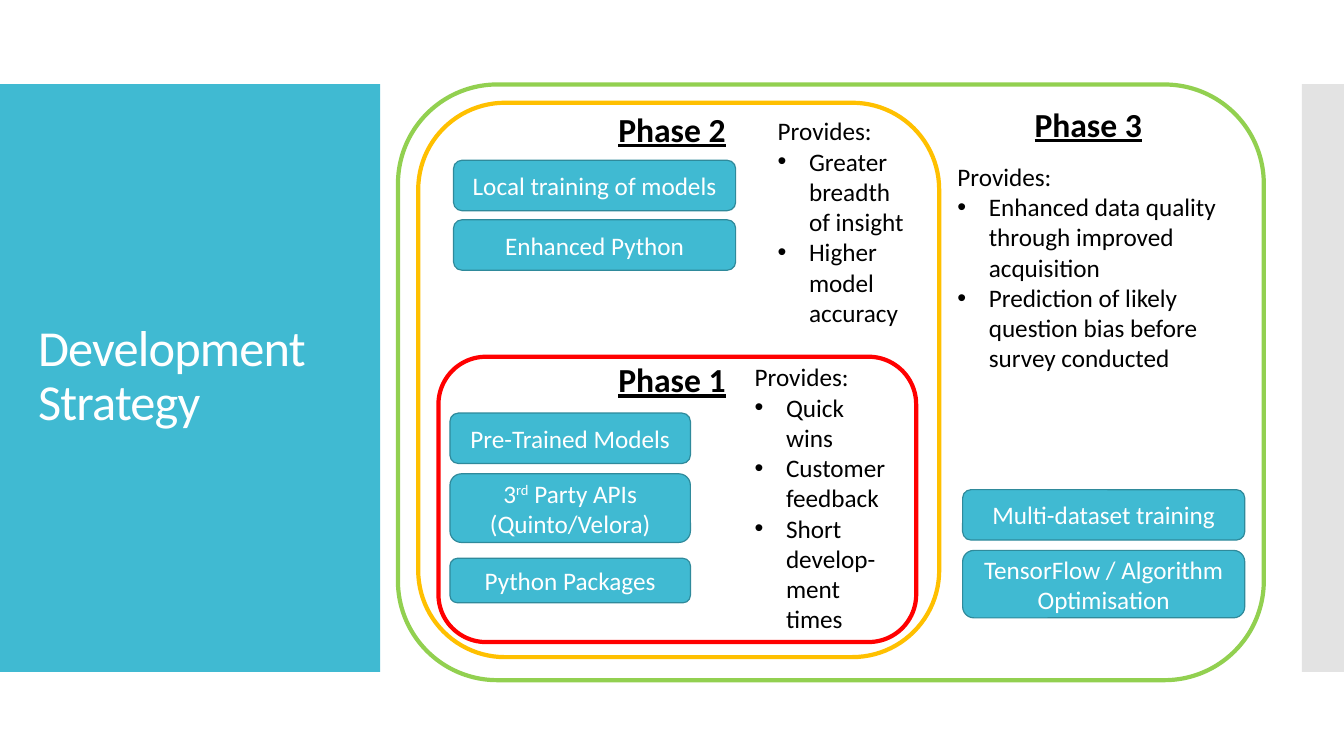
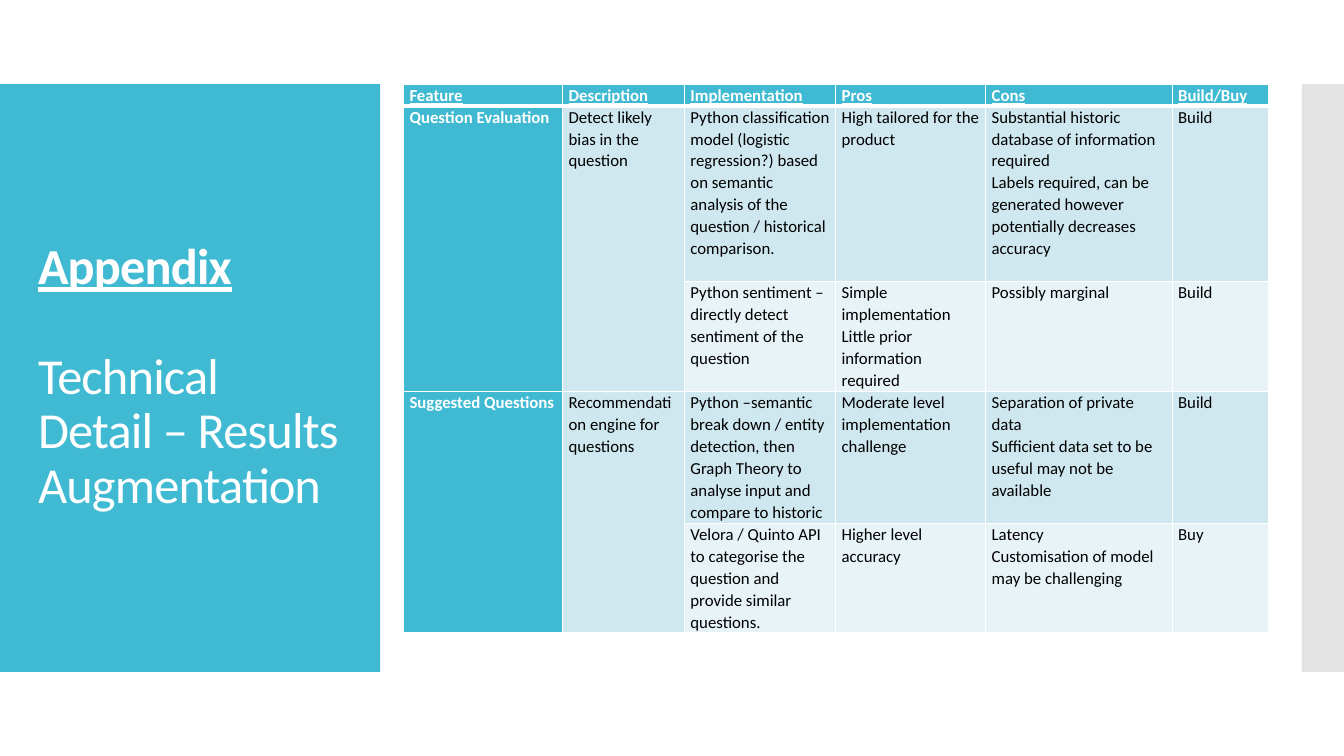
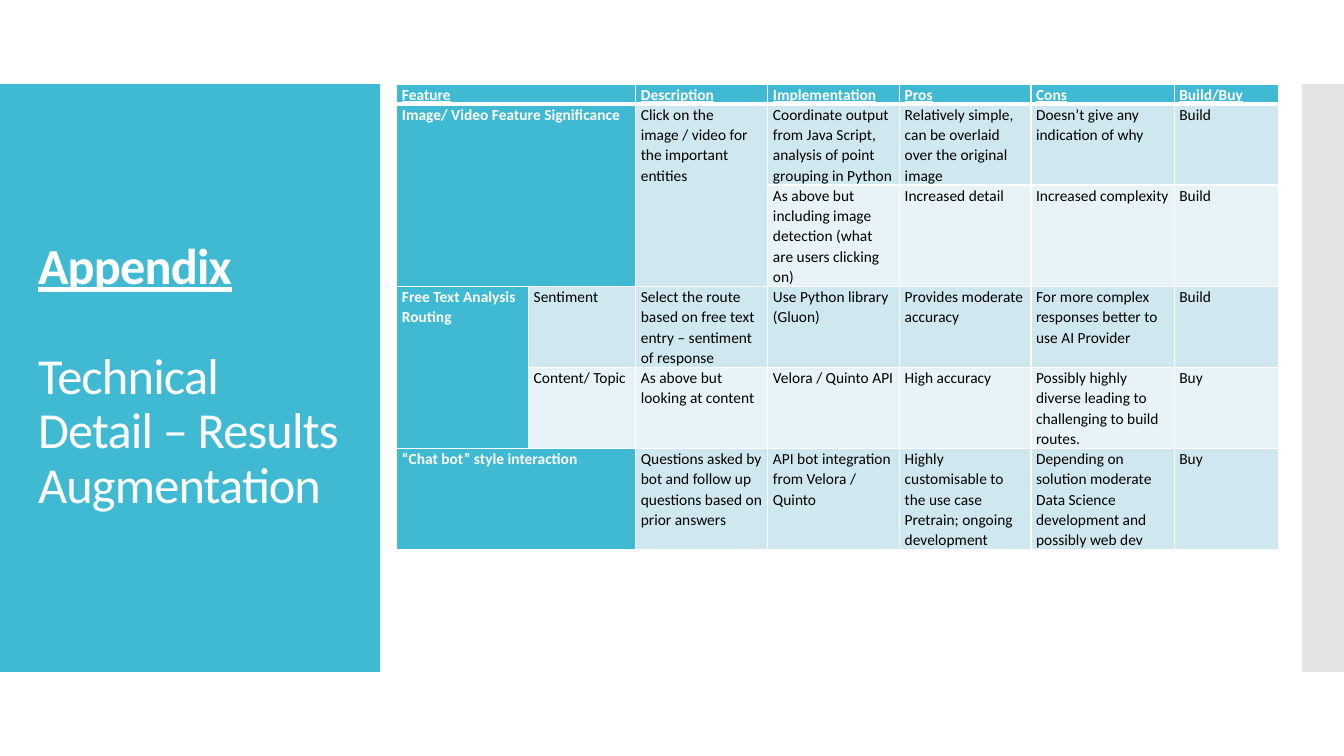
import lxml.etree
import pptx
import pptx.dml.color
import pptx.enum.shapes
import pptx.enum.text
import pptx.oxml.ns
import pptx.util

Cm, Pt, qn = pptx.util.Cm, pptx.util.Pt, pptx.oxml.ns.qn
SHAPES = pptx.enum.shapes.MSO_SHAPE
ALIGN = pptx.enum.text.PP_ALIGN
MIDDLE = pptx.enum.text.MSO_ANCHOR.MIDDLE
GROW = pptx.enum.text.MSO_AUTO_SIZE.SHAPE_TO_FIT_TEXT

COLOURS = {
    "accent": "40BAD2", "accent edge": "2F8A9B", "side": "C8C8C8",
    "white": "FFFFFF", "black": "000000",
    "band 1": "CFE7EE", "band 2": "E8F3F7",
    "phase 1": "FF0000", "phase 2": "FFC000", "phase 3": "92D050",
}
RGB = {name: pptx.dml.color.RGBColor.from_string(value) for name, value in COLOURS.items()}
TITLE_FORMAT = {"size": Pt(36)}
APPENDIX_FORMAT = {"size": Pt(36), "bold": True, "underline": True}
PHASE_FORMAT = {"size": Pt(24), "bold": True, "underline": True}
BODY_FORMAT = {"size": Pt(18)}


def write(paragraph, text, colour, font_format):
    run = paragraph.add_run()
    run.text = text
    for name, value in {"name": "Calibri", **font_format}.items():
        setattr(run.font, name, value)
    run.font.color.rgb = RGB[colour]
    return run


def add_panel(slide, shape_type, place, fill=None, edge=None, edge_width=0):
    """Add a shape at (left, top, width, height) in cm, hollow or unlined if no colour is given."""
    panel = slide.shapes.add_shape(shape_type, *map(Cm, place))
    panel.shadow.inherit = False
    if fill:
        panel.fill.solid()
        panel.fill.fore_color.rgb = RGB[fill]
    else:
        panel.fill.background()
    if edge:
        panel.line.color.rgb = RGB[edge]
        panel.line.width = Pt(edge_width)
    else:
        panel.line.fill.background()
    return panel


prs = pptx.Presentation()
prs.slide_width, prs.slide_height = Cm(33.87), Cm(19.05)

# Shared bands and titles
appendix_title = [("Appendix", APPENDIX_FORMAT),
                  ("Technical Detail – Results Augmentation", TITLE_FORMAT)]
titles = [[("Development Strategy", TITLE_FORMAT)], appendix_title, appendix_title]
slides = []
for title_lines in titles:
    slide = prs.slides.add_slide(prs.slide_layouts[6])
    slides.append(slide)
    add_panel(slide, SHAPES.RECTANGLE, (0, 2.12, 9.58, 14.81), "accent")
    side = add_panel(slide, SHAPES.RECTANGLE, (32.81, 2.12, 1.06, 14.81), "side")
    side_colour = side.fill._xPr.find(qn("a:solidFill"))[0]
    lxml.etree.SubElement(side_colour, qn("a:alpha"), val="50000")

    title = slide.shapes.add_textbox(Cm(0.71), Cm(3.12), Cm(8.18), Cm(12.78)).text_frame
    title.word_wrap = True
    title.vertical_anchor = MIDDLE
    for index, (text, title_format) in enumerate(title_lines):
        paragraph = title.add_paragraph() if index else title.paragraphs[0]
        paragraph.line_spacing = 0.9
        paragraph.space_before = Pt(39.5 if index else 0)
        run = write(paragraph, text, "white", title_format)
        run._r.get_or_add_rPr().set("spc", "-60")

# Development phases; text between ^ marks is superscript
phases = [
    {"name": "Phase 1", "frame": (11.05, 8.99, 12.04, 7.19), "heading": (13.11, 8.92),
     "step left": 11.34, "step width": 6.06,
     "steps": [("Pre-Trained Models", 10.41, 1.27),
               ("3^rd^ Party APIs (Quinto/Velora)", 11.94, 1.73),
               ("Python Packages", 14.07, 1.12)],
     "benefits at": (18.77, 8.99, 3.96, 7.19),
     "benefits": ["Quick wins", "Customer feedback", "Short develop-ment times"]},
    {"name": "Phase 2", "frame": (10.54, 2.59, 13.13, 13.97), "heading": (13.11, 2.62),
     "step left": 11.43, "step width": 7.11,
     "steps": [("Local training of models", 4.04, 1.27),
               ("Enhanced Python", 5.54, 1.27)],
     "benefits at": (19.35, 2.79, 3.96, 6.4),
     "benefits": ["Greater breadth of insight", "Higher model accuracy"]},
    {"name": "Phase 3", "frame": (10.03, 2.13, 21.82, 15.01), "heading": (23.6, 2.49),
     "step left": 24.26, "step width": 7.11,
     "steps": [("Multi-dataset training", 12.34, 1.27),
               ("TensorFlow / Algorithm Optimisation", 13.87, 1.7)],
     "benefits at": (23.88, 3.94, 7.47, 6.4),
     "benefits": ["Enhanced data quality through improved acquisition",
                  "Prediction of likely question bias before survey conducted"]},
]
strategy = slides[0]
for phase in phases:
    add_panel(strategy, SHAPES.ROUNDED_RECTANGLE, phase["frame"],
              edge=phase["name"].lower(), edge_width=3)

    heading = strategy.shapes.add_textbox(*map(Cm, phase["heading"]), Cm(7.65), Cm(1.27)).text_frame
    heading.word_wrap = True
    heading.auto_size = GROW
    heading.paragraphs[0].alignment = ALIGN.CENTER
    write(heading.paragraphs[0], phase["name"], "black", PHASE_FORMAT)

    for text, top, height in phase["steps"]:
        step = add_panel(strategy, SHAPES.ROUNDED_RECTANGLE,
                         (phase["step left"], top, phase["step width"], height),
                         "accent", "accent edge", 0.85).text_frame
        step.word_wrap = True
        step.vertical_anchor = MIDDLE
        step.paragraphs[0].alignment = ALIGN.CENTER
        for index, piece in enumerate(text.split("^")):
            run = write(step.paragraphs[0], piece, "white", BODY_FORMAT)
            if index % 2:
                run._r.get_or_add_rPr().set("baseline", "30000")

    benefits = strategy.shapes.add_textbox(*map(Cm, phase["benefits at"])).text_frame
    benefits.word_wrap = True
    benefits.auto_size = GROW
    write(benefits.paragraphs[0], "Provides:", "black", BODY_FORMAT)
    for benefit in phase["benefits"]:
        paragraph = benefits.add_paragraph()
        write(paragraph, benefit, "black", BODY_FORMAT)
        properties = paragraph._p.get_or_add_pPr()
        properties.set("marL", str(Cm(0.79)))
        properties.set("indent", str(-Cm(0.79)))
        lxml.etree.SubElement(properties, qn("a:buFont"), typeface="Arial")
        lxml.etree.SubElement(properties, qn("a:buChar"), char="•")

# Technical detail; None marks a cell covered by a merge (row, column, last row, last column)
details = [
    {"left": 10.17, "top": 2.12, "size": 12, "inset": 0.15,
     "widths": [4.01, 3.07, 3.81, 3.78, 4.7, 2.44],
     "heights": [0.53, 4.43, 2.77, 3.32, 2.76],
     "merges": [(1, 0, 2, 0), (1, 1, 2, 1), (3, 0, 4, 0), (3, 1, 4, 1)],
     "rows": [
         ["Feature", "Description", "Implementation", "Pros", "Cons", "Build/Buy"],
         ["Question Evaluation", "Detect likely bias in the question",
          "Python classification model (logistic regression?) based on semantic analysis "
          "of the question / historical comparison.",
          "High tailored for the product",
          "Substantial historic database of information required\n"
          "Labels required, can be generated however potentially decreases accuracy",
          "Build"],
         [None, None, "Python sentiment – directly detect sentiment of the question",
          "Simple implementation\nLittle prior information required",
          "Possibly marginal", "Build"],
         ["Suggested Questions", "Recommendation engine for questions",
          "Python –semantic break down / entity detection, then Graph Theory to analyse "
          "input and compare to historic",
          "Moderate level implementation challenge",
          "Separation of private data\nSufficient data set to be useful may not be available",
          "Build"],
         [None, None,
          "Velora / Quinto API to categorise the question and provide similar questions.",
          "Higher level accuracy",
          "Latency\nCustomisation of model may be challenging", "Buy"],
     ]},
    {"left": 10, "top": 2.12, "size": 11, "inset": 0.13,
     "widths": [3.32, 2.7, 3.33, 3.32, 3.31, 3.61, 2.64],
     "heights": [0.5, 2.04, 2.56, 2.04, 2.04, 2.54],
     "merges": [(0, 0, 0, 1), (1, 0, 2, 1), (1, 2, 2, 2), (3, 0, 4, 0), (5, 0, 5, 1)],
     "rows": [
         ["Feature", None, "Description", "Implementation", "Pros", "Cons", "Build/Buy"],
         ["Image/ Video Feature Significance", None,
          "Click on the image / video for the important entities",
          "Coordinate output from Java Script, analysis of point grouping in Python",
          "Relatively simple, can be overlaid over the original image",
          "Doesn’t give any indication of why", "Build"],
         [None, None, None,
          "As above but including image detection (what are users clicking on)",
          "Increased detail", "Increased complexity", "Build"],
         ["Free Text Analysis Routing", "Sentiment",
          "Select the route based on free text entry – sentiment of response",
          "Use Python library (Gluon)", "Provides moderate accuracy",
          "For more complex responses better to use AI Provider", "Build"],
         [None, "Content/ Topic", "As above but looking at content",
          "Velora / Quinto API", "High accuracy",
          "Possibly highly diverse leading to challenging to build routes.", "Buy"],
         ["“Chat bot” style interaction", None,
          "Questions asked by bot and follow up questions based on prior answers",
          "API bot integration from Velora / Quinto",
          "Highly customisable to the use case\nPretrain; ongoing development",
          "Depending on solution moderate Data Science development and possibly web dev",
          "Buy"],
     ]},
]
for slide, detail in zip(slides[1:], details):
    widths, heights = detail["widths"], detail["heights"]
    features = slide.shapes.add_table(
        len(heights), len(widths), Cm(detail["left"]), Cm(detail["top"]),
        Cm(sum(widths)), Cm(sum(heights))).table
    features.horz_banding = False
    for column, width in zip(features.columns, widths):
        column.width = Cm(width)
    for row, height in zip(features.rows, heights):
        row.height = Cm(height)
    for top, left, bottom, right in detail["merges"]:
        features.cell(top, left).merge(features.cell(bottom, right))

    cell_format = {"margin_left": Cm(detail["inset"]), "margin_right": Cm(detail["inset"]),
                   "margin_top": 0, "margin_bottom": 0}
    for r, texts in enumerate(detail["rows"]):
        for c, text in enumerate(texts):
            cell = features.cell(r, c)
            for name, value in cell_format.items():
                setattr(cell, name, value)

            borders = {"lnL": 1, "lnR": 1, "lnT": 3 if r == 1 else 1, "lnB": 3 if r == 0 else 1}
            for side_name, points in borders.items():
                border = lxml.etree.SubElement(cell._tc.get_or_add_tcPr(), qn("a:" + side_name),
                                               w=str(Pt(points)))
                border_fill = lxml.etree.SubElement(border, qn("a:solidFill"))
                lxml.etree.SubElement(border_fill, qn("a:srgbClr"), val=COLOURS["white"])

            is_label = r == 0 or c == 0
            cell.fill.solid()
            cell.fill.fore_color.rgb = RGB["accent" if is_label else "band 1" if r % 2 else "band 2"]
            if text is None:
                continue
            text_format = {"size": Pt(detail["size"]), "bold": is_label, "underline": r == 0}
            for index, line in enumerate(text.split("\n")):
                paragraph = cell.text_frame.add_paragraph() if index else cell.text_frame.paragraphs[0]
                paragraph.line_spacing = 1.07
                write(paragraph, line, "white" if is_label else "black", text_format)

prs.save("out.pptx")
